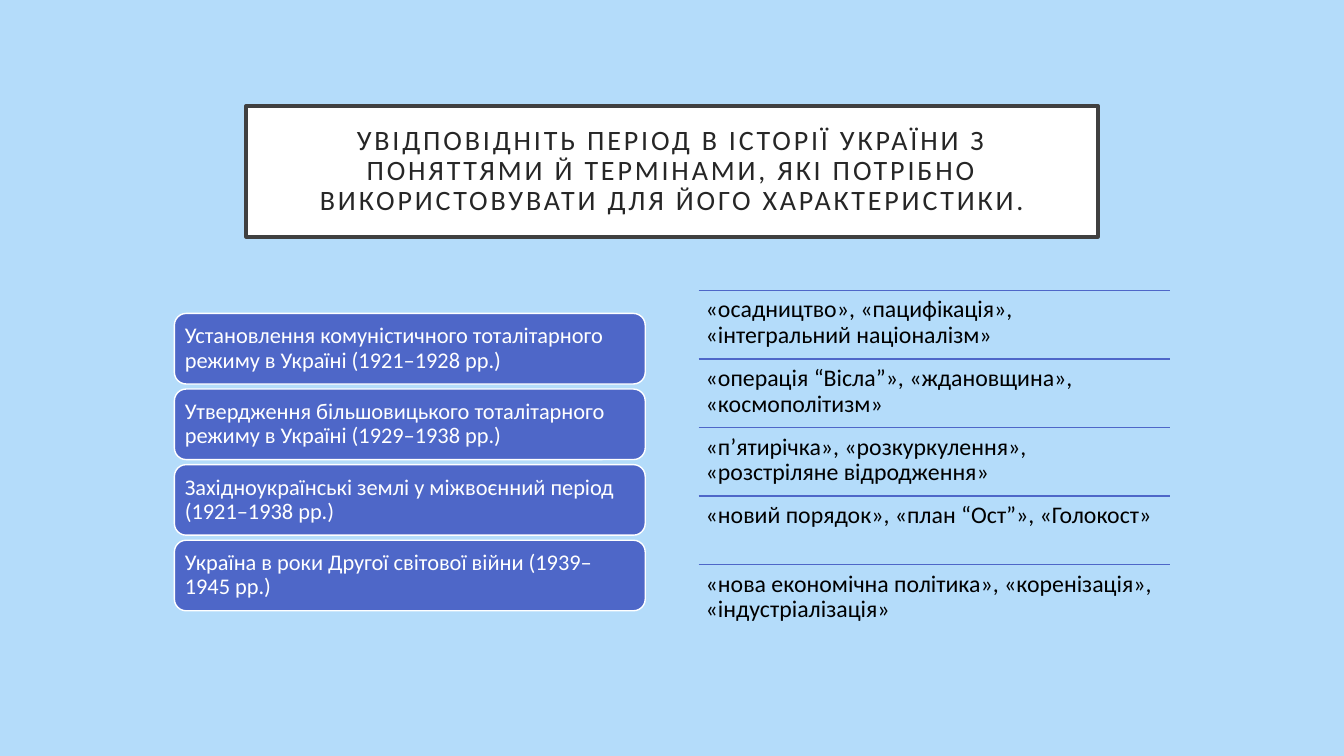
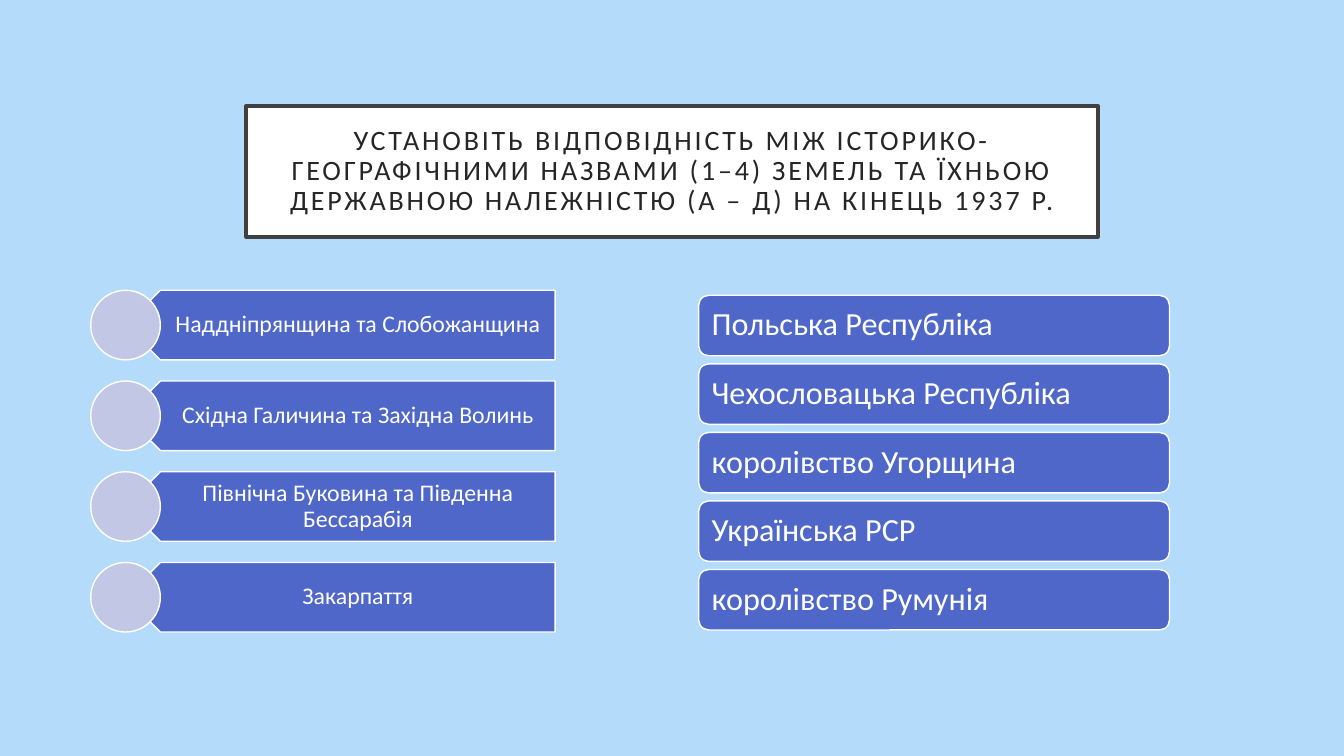
from lxml import etree
from pptx import Presentation
from pptx import util as u
from pptx.dml.color import RGBColor
from pptx.enum import shapes, text
from pptx.oxml import ns

COLORS = {
    "background": "B4DCFA",
    "accent": "4E67C8",
    "pale": "C2C7E6",
    "white": "FFFFFF",
    "frame": "404040",
    "title": "262626",
    "black": "000000",
}
FONT = "Calibri"
SHAPE = shapes.MSO_SHAPE
ALIGN = text.PP_ALIGN
ANCHOR = text.MSO_ANCHOR


def rgb(name):
    return RGBColor.from_string(COLORS[name])


def put_text(sp, content, size=17, color="white", align=ALIGN.LEFT,
             anchor=ANCHOR.MIDDLE, insets=(0.07,) * 4, spacing=0):
    tf = sp.text_frame
    tf.word_wrap = True
    tf.vertical_anchor = anchor
    tf.margin_left, tf.margin_top, tf.margin_right, tf.margin_bottom = map(u.Inches, insets)
    p = tf.paragraphs[0]
    p.alignment = align
    p.line_spacing = 0.9
    r = p.add_run()
    r.text = content
    r.font.name = FONT
    r.font.size = u.Pt(size)
    r.font.color.rgb = rgb(color)
    if spacing:
        r.font._element.set("spc", str(spacing * 100))


class Deck:
    """Holds the shared style and the slide being filled."""

    def __init__(self):
        self.prs = Presentation()
        self.prs.slide_width = u.Inches(13.33)
        self.prs.slide_height = u.Inches(7.5)
        self.s = None

    def slide(self, title):
        self.s = self.prs.slides.add_slide(self.prs.slide_layouts[6])
        fill = self.s.background.fill
        fill.solid()
        fill.fore_color.rgb = rgb("background")
        frame = self.shape(SHAPE.RECTANGLE, 2.44, 1.05, 8.45, 1.3, "white", "frame", 2.5)
        put_text(frame, title, size=20, color="title", align=ALIGN.CENTER,
                 insets=(0.2,) * 4, spacing=2)

    def shape(self, kind, x, y, w, h, fill="accent", line="white", weight=1):
        sp = self.s.shapes.add_shape(kind, *map(u.Inches, (x, y, w, h)))
        sp.shadow.inherit = False
        sp.fill.solid()
        sp.fill.fore_color.rgb = rgb(fill)
        sp.line.color.rgb = rgb(line)
        sp.line.width = u.Pt(weight)
        return sp

    def textbox(self, x, y, w, h, content, **fmt):
        put_text(self.s.shapes.add_textbox(*map(u.Inches, (x, y, w, h))), content, **fmt)

    def rule(self, x, y, w):
        line = self.s.shapes.add_connector(
            shapes.MSO_CONNECTOR.STRAIGHT, *map(u.Inches, (x, y, x + w, y)))
        line.line.color.rgb = rgb("accent")
        line.line.width = u.Pt(1)
        etree.SubElement(line._element.spPr, ns.qn("a:effectLst"))

    def cards(self, items, x, y, h, step, **fmt):
        for i, item in enumerate(items):
            card = self.shape(SHAPE.ROUNDED_RECTANGLE, x, y + i * step, 4.67, h)
            put_text(card, item, **fmt)

    def ruled_list(self, items, x, y, step):
        for i, item in enumerate(items):
            top = y + i * step
            self.rule(x, top, 4.67)
            self.textbox(x, top, 4.67, step, item, color="black", anchor=ANCHOR.TOP)

    def arrows(self, items, x, y, size, step):
        for i, item in enumerate(items):
            top = y + i * step
            arrow = self.shape(SHAPE.PENTAGON, x + size / 2, top, 4.26, size)
            arrow.rotation = 180
            self.textbox(x + 0.52, top, 4.08, size, item, align=ALIGN.CENTER,
                         insets=(0.31, 0.07, 0.13, 0.07))
            self.shape(SHAPE.OVAL, x, top, size, size, "pale")


def main():
    deck = Deck()

    deck.slide("УВІДПОВІДНІТЬ ПЕРІОД В ІСТОРІЇ УКРАЇНИ З ПОНЯТТЯМИ Й ТЕРМІНАМИ, "
               "ЯКІ ПОТРІБНО ВИКОРИСТОВУВАТИ ДЛЯ ЙОГО ХАРАКТЕРИСТИКИ.")
    deck.cards([
        "Установлення комуністичного тоталітарного режиму в Україні (1921–1928 рр.)",
        "Утвердження більшовицького тоталітарного режиму в Україні (1929–1938 рр.)",
        "Західноукраїнські землі у міжвоєнний період (1921–1938 рр.)",
        "Україна в роки Другої світової війни (1939–1945 рр.)",
    ], 1.73, 3.11, 0.7, 0.75, size=16)
    deck.ruled_list([
        "«осадництво», «пацифікація», «інтегральний націоналізм»",
        "«операція “Вісла”», «ждановщина», «космополітизм»",
        "«п’ятирічка», «розкуркулення», «розстріляне відродження»",
        "«новий порядок», «план “Ост”», «Голокост»",
        "«нова економічна політика», «коренізація», «індустріалізація»",
    ], 6.93, 2.88, 0.68)

    deck.slide("УСТАНОВІТЬ ВІДПОВІДНІСТЬ МІЖ ІСТОРИКО-ГЕОГРАФІЧНИМИ НАЗВАМИ (1–4) "
               "ЗЕМЕЛЬ ТА ЇХНЬОЮ ДЕРЖАВНОЮ НАЛЕЖНІСТЮ (А – Д) НА КІНЕЦЬ 1937 Р.")
    deck.arrows([
        "Наддніпрянщина та Слобожанщина",
        "Східна Галичина та Західна Волинь",
        "Північна Буковина та Південна Бессарабія",
        "Закарпаття",
    ], 0.9, 2.88, 0.69, 0.9)
    deck.cards([
        "Польська Республіка",
        "Чехословацька Республіка",
        "королівство Угорщина",
        "Українська РСР",
        "королівство Румунія",
    ], 6.93, 2.93, 0.6, 0.68, size=23, insets=(0.1,) * 4)

    deck.prs.save("out.pptx")


if __name__ == "__main__":
    main()
